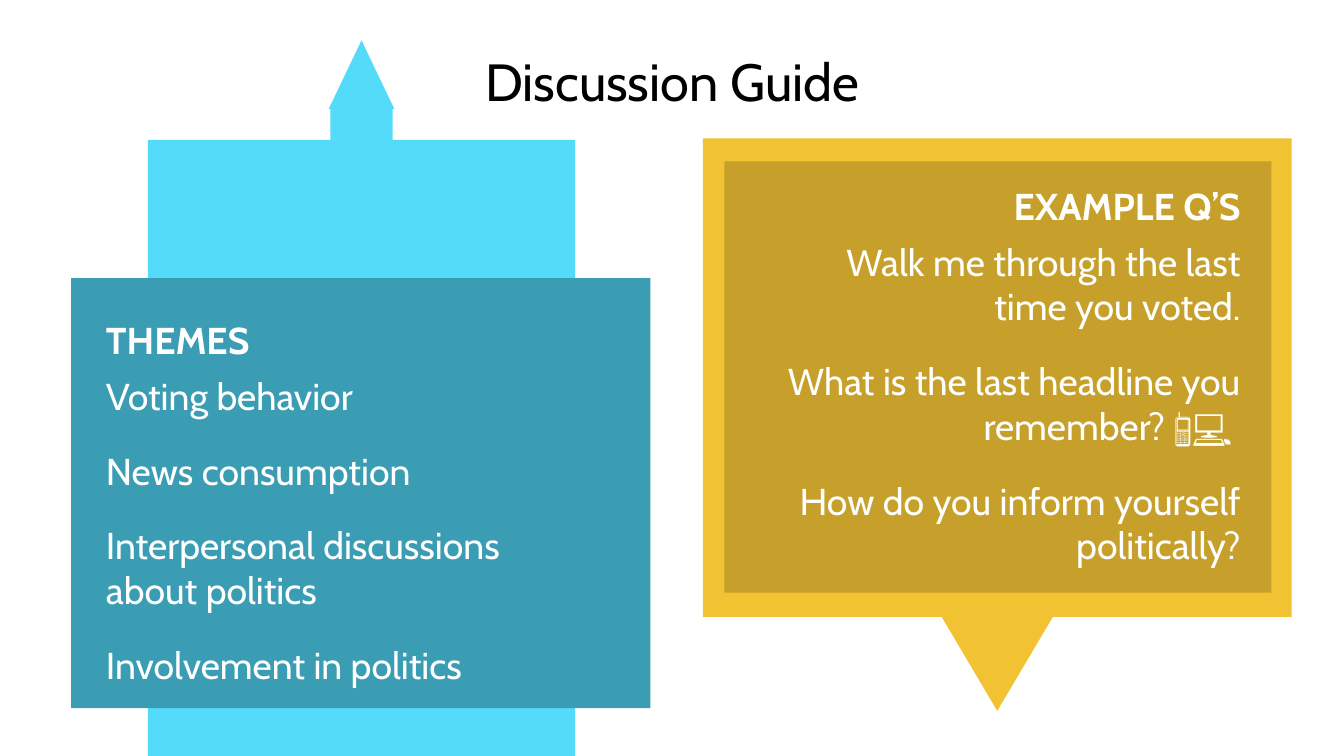
from dataclasses import dataclass

from pptx import Presentation
from pptx import util as u
from pptx.dml.color import RGBColor
from pptx.enum import shapes, text


@dataclass(frozen=True)
class Theme:
    font: str = "Cabin"
    title_size: int = 28
    body_size: int = 20
    heading_gap: int = 6
    item_gap: int = 16
    ink: str = "000000"
    paper: str = "FFFFFF"
    sky: str = "54DBFA"
    teal: str = "3B9DB3"
    gold: str = "F1C232"
    ochre: str = "C6A02A"


@dataclass(frozen=True)
class Box:
    left: float
    top: float
    width: float
    height: float

    def lengths(self) -> list[u.Length]:
        return [u.Inches(v) for v in (self.left, self.top, self.width, self.height)]

    def turned(self) -> "Box":
        shift = (self.width - self.height) / 2
        return Box(self.left + shift, self.top - shift, self.height, self.width)


@dataclass(frozen=True)
class Topic:
    heading: str
    items: tuple[str, ...]
    align: text.PP_ALIGN
    arrow: Box
    rotation: int
    adjustments: tuple[float, ...]
    arrow_color: str
    panel: Box
    panel_color: str
    words: Box


THEME = Theme()

TOPICS = (
    Topic(
        heading="THEMES",
        items=(
            "Voting behavior",
            "News consumption",
            "Interpersonal discussions about politics",
            "Involvement in politics",
        ),
        align=text.PP_ALIGN.LEFT,
        arrow=Box(1.1, 0.3, 3.18, 5.33),
        rotation=270,
        adjustments=(0.145, 0.077, 0.161, 0.861),
        arrow_color=THEME.sky,
        panel=Box(0.53, 2.07, 4.31, 3.2),
        panel_color=THEME.teal,
        words=Box(0.69, 2.26, 3.8, 2.86),
    ),
    Topic(
        heading="EXAMPLE Q’S",
        items=(
            "Walk me through the last time you voted.",
            "What is the last headline you remember? 📱💻 ",
            "How do you inform yourself politically?",
        ),
        align=text.PP_ALIGN.RIGHT,
        arrow=Box(5.23, 1.03, 4.38, 4.26),
        rotation=90,
        adjustments=(0.132, 0.097, 0.164, 0.836),
        arrow_color=THEME.gold,
        panel=Box(5.39, 1.2, 4.07, 3.21),
        panel_color=THEME.ochre,
        words=Box(5.67, 1.26, 3.66, 3.04),
    ),
)


def add_block(slide, kind: shapes.MSO_SHAPE, box: Box, color: str):
    block = slide.shapes.add_shape(kind, *box.lengths())
    block.shadow.inherit = False
    block.fill.solid()
    block.fill.fore_color.rgb = RGBColor.from_string(color)
    block.line.fill.background()
    return block


def add_words(slide, box: Box, lines: tuple[str, ...], align: text.PP_ALIGN,
              size: int, color: str):
    frame = slide.shapes.add_textbox(*box.lengths()).text_frame
    frame.word_wrap = True
    frame.margin_left = frame.margin_right = u.Inches(0.1)
    frame.margin_top = frame.margin_bottom = u.Inches(0.1)
    frame.text = "\n".join(lines)
    for paragraph in frame.paragraphs:
        paragraph.alignment = align
        for run in paragraph.runs:
            run.font.name = THEME.font
            run.font.size = u.Pt(size)
            run.font.color.rgb = RGBColor.from_string(color)
    return frame


def add_topic(slide, topic: Topic) -> None:
    arrow = add_block(slide, shapes.MSO_SHAPE.RIGHT_ARROW_CALLOUT,
                      topic.arrow.turned(), topic.arrow_color)
    arrow.rotation = topic.rotation
    for index, value in enumerate(topic.adjustments):
        arrow.adjustments[index] = value
    add_block(slide, shapes.MSO_SHAPE.RECTANGLE, topic.panel, topic.panel_color)
    frame = add_words(slide, topic.words, (topic.heading, *topic.items),
                      topic.align, THEME.body_size, THEME.paper)
    heading, first, *others = frame.paragraphs
    heading.runs[0].font.bold = True
    first.space_before = u.Pt(THEME.heading_gap)
    for item in others:
        item.space_before = u.Pt(THEME.item_gap)


def main() -> None:
    deck = Presentation()
    deck.slide_width = u.Inches(10)
    deck.slide_height = u.Inches(10) * 9 // 16
    slide = deck.slides.add_slide(deck.slide_layouts[6])
    for topic in TOPICS:
        add_topic(slide, topic)
    add_words(slide, Box(0.34, 0.27, 9.32, 0.63), ("Discussion Guide",),
              text.PP_ALIGN.CENTER, THEME.title_size, THEME.ink)
    deck.save("out.pptx")


if __name__ == "__main__":
    main()
